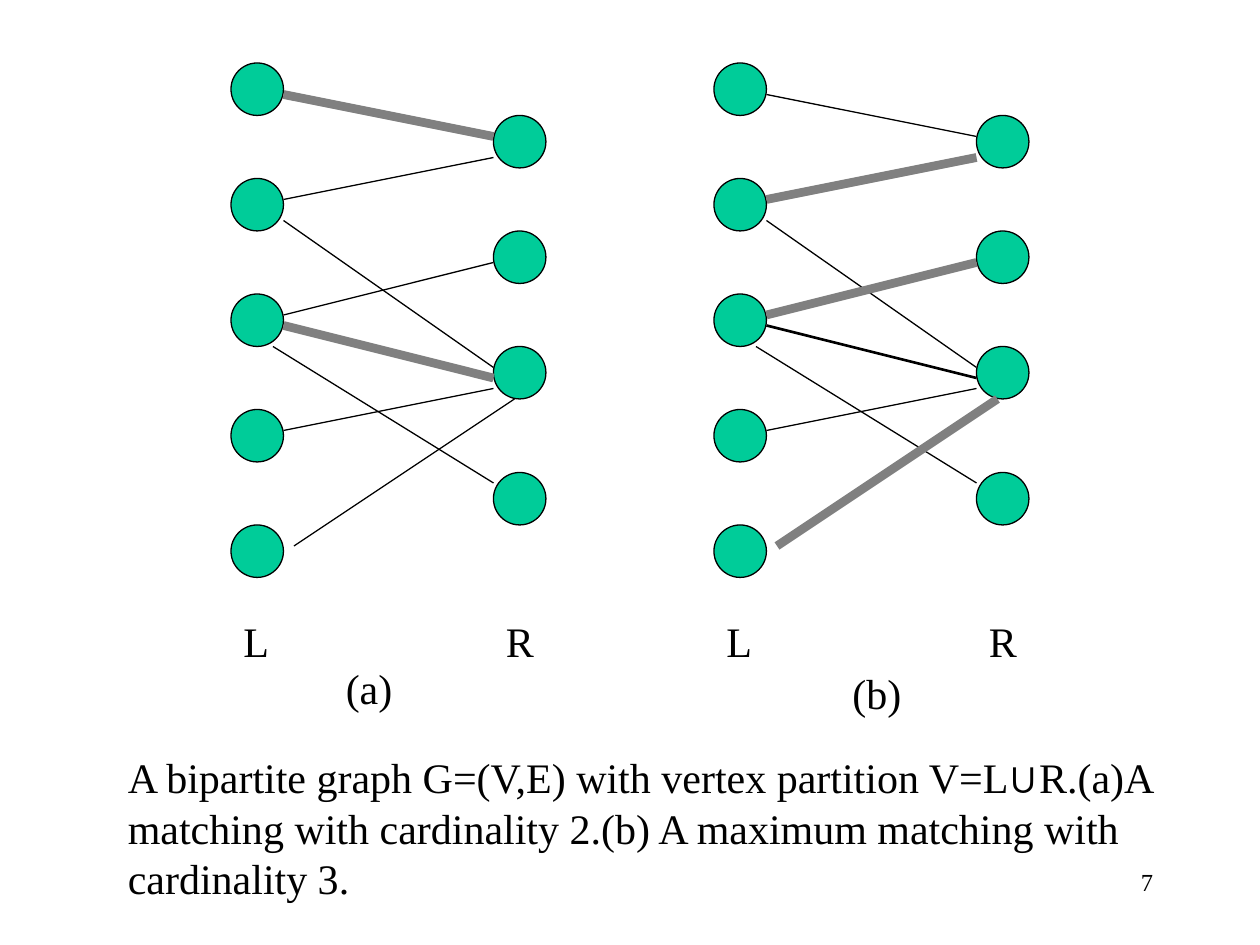
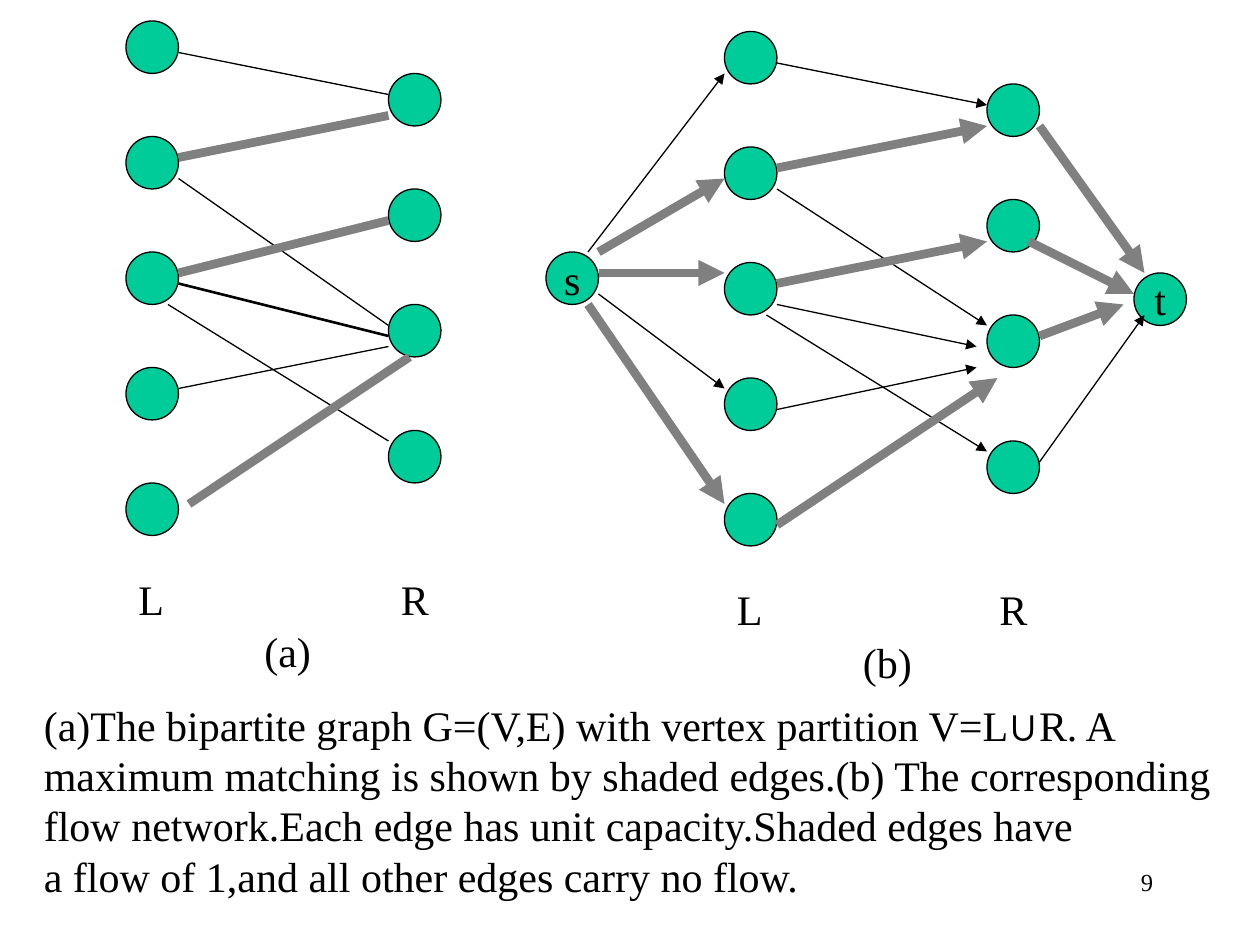
"""Build two slides on bipartite matching and its flow network."""
from pptx import Presentation
from pptx import util as u
from pptx.dml.color import RGBColor
from pptx.enum import shapes, text
from pptx.oxml.ns import qn
from lxml import etree

PX = 9525
NODE, GAP, SPAN = 40, 88, 200
SERIF, SANS = "Times New Roman", "Arial"
BLACK, GREY, GREEN = "000000", "808080", "00CC99"
PENS = {"-": (BLACK, 0.75), "m": (BLACK, 1.5), "B": (GREY, 5)}

LEFT = [(0, GAP * i) for i in range(5)]
RIGHT = [(SPAN, y) for y in (40, 128, 216, 312)]
LABEL_Y = 416
PAIRS = [
    (40, 24, 200, 56), (40, 104, 200, 72), (40, 120, 200, 232),
    (40, 192, 200, 152), (40, 200, 200, 240), (32, 216, 200, 320),
    (40, 280, 200, 248), (48, 368, 216, 256),
]
FLOWS = [
    (40, 24, 200, 56), (40, 104, 200, 72), (40, 120, 200, 224),
    (40, 192, 200, 160), (40, 208, 192, 240), (32, 216, 200, 320),
    (40, 288, 192, 256), (40, 376, 208, 264),
    (-104, 168, 0, 32), (-96, 168, 0, 112), (-96, 184, 0, 184),
    (-96, 200, 0, 272), (-104, 208, 0, 360),
    (240, 72, 320, 184), (232, 160, 312, 200),
    (240, 232, 304, 208), (240, 328, 320, 216),
]
ENDS = {"s": (-136, 168), "t": (312, 184)}
SMALL, MOST = "B---B---", "-B-Bm--B"
FLOW_PENS = "-B-B---B" + "-BB-B" + "BBB-"

SLIDES = [
    {
        "page": "7",
        "graphs": [
            {"at": (176, 48), "edges": PAIRS, "pens": SMALL,
             "name": "(a)", "tag": (78, 452, 55, 48)},
            {"at": (544, 48), "edges": PAIRS, "pens": MOST,
             "name": "(b)", "tag": (96, 456, 57, 48)},
        ],
        "box": (88, 568, 816, 125),
        "wrap": True,
        "note": [
            [("A bipartite graph G=(V,E) with vertex partition V=L", SERIF),
             ("∪", SANS),
             ("R.(a)A matching with cardinality 2.(b) A maximum matching "
              "with cardinality 3.", SERIF)],
        ],
    },
    {
        "page": "9",
        "graphs": [
            {"at": (96, 16), "edges": PAIRS, "pens": MOST,
             "name": "(a)", "tag": (96, 456, 55, 48)},
            {"at": (552, 24), "edges": FLOWS, "pens": FLOW_PENS,
             "name": "(b)", "tag": (96, 456, 57, 48), "ends": ENDS},
        ],
        "box": (24, 528, 908, 163),
        "wrap": False,
        "note": [
            [("(a)The bipartite graph G=(V,E) with vertex partition V=L", SERIF),
             ("∪", SANS), ("R. A", SERIF)],
            [("maximum matching is shown by shaded edges.(b) "
              "The corresponding", SERIF)],
            [("flow network.Each edge has unit capacity."
              "Shaded edges have", SERIF)],
            [("a flow of 1,and all other edges carry no flow.", SERIF)],
        ],
    },
]


def px(*nums):
    return [u.Emu(n * PX) for n in nums]


def tint(fmt, color):
    fmt.rgb = RGBColor.from_string(color)


def write(frame, paras, size=24, align=None):
    for i, runs in enumerate(paras):
        para = frame.add_paragraph() if i else frame.paragraphs[0]
        para.alignment = align
        for words, face in runs:
            run = para.add_run()
            run.text = words
            run.font.name, run.font.size = face, u.Pt(size)
            tint(run.font.color, BLACK)


def add_text(home, box, paras, wrap=True, grow=True, size=24, align=None):
    frame = home.add_textbox(*px(*box)).text_frame
    frame.word_wrap = wrap
    if grow:
        frame.auto_size = text.MSO_AUTO_SIZE.SHAPE_TO_FIT_TEXT
    write(frame, paras, size, align)


def add_node(home, x, y, name=None):
    node = home.add_shape(shapes.MSO_SHAPE.OVAL, *px(x, y, NODE, NODE))
    node.shadow.inherit = False
    node.fill.solid()
    tint(node.fill.fore_color, GREEN)
    tint(node.line.color, BLACK)
    node.line.width = u.Pt(0.75)
    if name:
        frame = node.text_frame
        frame.word_wrap = False
        frame.vertical_anchor = text.MSO_ANCHOR.MIDDLE
        write(frame, [[(name, SERIF)]], align=text.PP_ALIGN.CENTER)


def add_edge(home, ends, pen, arrow):
    edge = home.add_connector(shapes.MSO_CONNECTOR.STRAIGHT, *px(*ends))
    color, width = PENS[pen]
    tint(edge.line.color, color)
    edge.line.width = u.Pt(width)
    props = edge._element.spPr
    etree.SubElement(props, qn("a:effectLst"))
    if arrow:
        etree.SubElement(props.find(qn("a:ln")), qn("a:tailEnd"), type="triangle")


def add_graph(slide, graph):
    left, top = graph["at"]
    ends = graph.get("ends", {})
    home = slide.shapes if ends else slide.shapes.add_group_shape().shapes
    for x, y in LEFT + RIGHT:
        add_node(home, left + x, top + y)
    for name, (x, y) in ends.items():
        add_node(home, left + x, top + y, name)
    for (x1, y1, x2, y2), pen in zip(graph["edges"], graph["pens"]):
        add_edge(home, (left + x1, top + y1, left + x2, top + y2), pen, bool(ends))
    for name, x in (("L", 0), ("R", SPAN)):
        add_text(home, (left + x, top + LABEL_Y, NODE, 48), [[(name, SERIF)]])
    x, y, wide, high = graph["tag"]
    add_text(home, (left + x, top + y, wide, high),
             [[(graph["name"], SERIF)]], wrap=False)


def main():
    deck = Presentation()
    deck.slide_width, deck.slide_height = px(960, 720)
    for data in SLIDES:
        slide = deck.slides.add_slide(deck.slide_layouts[6])
        add_text(slide.shapes, (688, 656, 200, 48), [[(data["page"], SERIF)]],
                 grow=False, size=14, align=text.PP_ALIGN.RIGHT)
        for graph in data["graphs"]:
            add_graph(slide, graph)
        add_text(slide.shapes, data["box"], data["note"], wrap=data["wrap"])
    deck.save("out.pptx")


if __name__ == "__main__":
    main()
